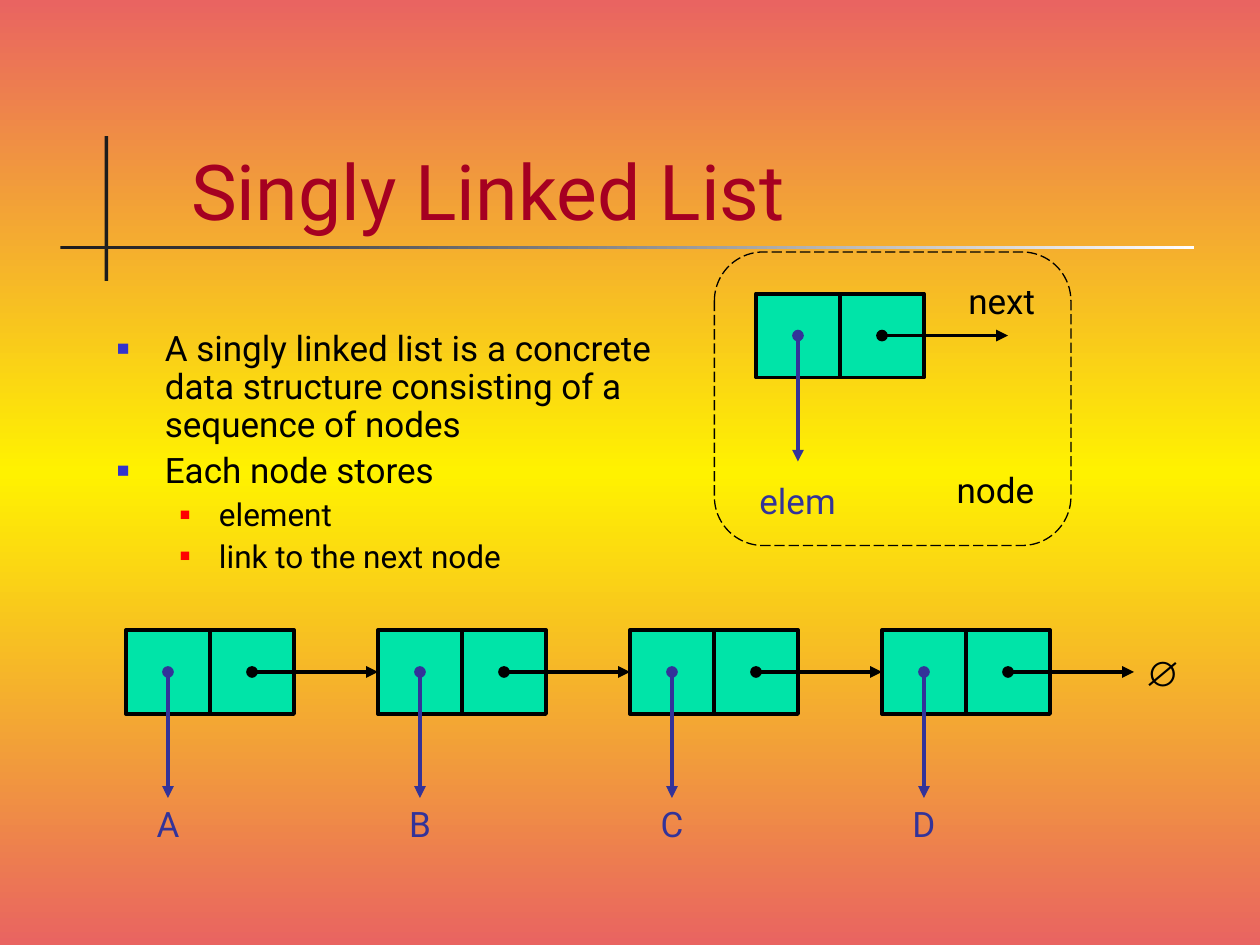
"""Build the singly linked list slide."""
from copy import deepcopy

from lxml.etree import SubElement
from pptx import Presentation
from pptx.dml.color import RGBColor
from pptx.enum.dml import MSO_LINE
from pptx.enum.shapes import MSO_CONNECTOR, MSO_SHAPE
from pptx.enum.text import MSO_ANCHOR, PP_ALIGN
from pptx.oxml.ns import qn
from pptx.util import Inches, Pt

BLACK = RGBColor(0, 0, 0)
WHITE = RGBColor(255, 255, 255)
CHARCOAL = RGBColor(0x1C, 0x1C, 0x1C)
CORAL = RGBColor(0xE9, 0x64, 0x61)
YELLOW = RGBColor(0xFF, 0xF2, 0x00)
CRIMSON = RGBColor(0xA5, 0x00, 0x21)
GREEN = RGBColor(0x00, 0xE4, 0xA8)
INDIGO = RGBColor(0x33, 0x33, 0x99)
BLUE = RGBColor(0x33, 0x33, 0xCC)
RED = RGBColor(0xFF, 0, 0)

TITLE = "Singly Linked List"
BULLETS = [
    (0, "A singly linked list is a concrete data structure consisting of a sequence of nodes"),
    (0, "Each node stores"),
    (1, "element"),
    (1, "link to the next node"),
]
LEVELS = [
    dict(size=20, before=5, margin=0.38, hang=0.38, color=BLUE, percent=60),
    dict(size=18, before=4.5, margin=0.81, hang=0.31, color=RED, percent=55),
]
LEGEND = [
    ("next", 7.95, 2.17, BLACK),
    ("elem", 6.33, 3.76, INDIGO),
    ("node", 7.9, 3.67, BLACK),
]
ELEMENTS = "ABCD"
CELL = 2 / 3
NODE_PITCH = 2
LIST_LEFT, LIST_TOP = 1, 5


def set_gradient(fill, root, colors, angle):
    fill.gradient()
    fill.gradient_angle = angle
    stop_list = root.find(".//" + qn("a:gsLst"))
    while len(stop_list) < len(colors):
        stop_list.append(deepcopy(stop_list[-1]))
    for index, (stop, color) in enumerate(zip(fill.gradient_stops, colors)):
        stop.color.rgb = color
        stop.position = index / (len(colors) - 1)


def add_shape(page, kind, left, top, width, height, fill=None, line_width=None):
    shape = page.shapes.add_shape(
        kind, Inches(left), Inches(top), Inches(width), Inches(height))
    shape.shadow.inherit = False
    if fill is None:
        shape.fill.background()
    else:
        shape.fill.solid()
        shape.fill.fore_color.rgb = fill
    if line_width is None:
        shape.line.fill.background()
    else:
        shape.line.color.rgb = BLACK
        shape.line.width = Pt(line_width)
    return shape


def add_arrow(page, left, top, across, down, color):
    arrow = page.shapes.add_connector(
        MSO_CONNECTOR.STRAIGHT, Inches(left), Inches(top),
        Inches(left + across), Inches(top + down))
    arrow.line.color.rgb = color
    arrow.line.width = Pt(2.25)
    line = arrow.line._get_or_add_ln()
    SubElement(line, qn("a:headEnd"), type="oval")
    SubElement(line, qn("a:tailEnd"), type="triangle")
    SubElement(arrow._element.spPr, qn("a:effectLst"))


def add_node(page, left, top):
    for column in range(2):
        add_shape(page, MSO_SHAPE.RECTANGLE, left + column * CELL, top,
                  CELL, CELL, GREEN, 2.25)
    middle = top + CELL / 2
    add_arrow(page, left + CELL / 2, middle, 0, 1, INDIGO)
    add_arrow(page, left + CELL * 1.5, middle, 1, 0, BLACK)


def set_font(paragraph, size, color, name="Roboto", bold=False):
    paragraph.font.size = Pt(size)
    paragraph.font.name = name
    paragraph.font.bold = bold
    paragraph.font.color.rgb = color


def add_box(page, left, top, width, height, wrap=True):
    box = page.shapes.add_textbox(
        Inches(left), Inches(top), Inches(width), Inches(height))
    box.text_frame.word_wrap = wrap
    return box.text_frame


def add_label(page, text, center, top, color, **font):
    width = 0.85 if len(text) > 1 else 0.4
    frame = add_box(page, center - width / 2, top, width, 0.44, wrap=False)
    para = frame.paragraphs[0]
    para.text = text
    para.alignment = PP_ALIGN.CENTER
    set_font(para, 20, color, **font)


def add_bullet(para, level):
    properties = para._p.get_or_add_pPr()
    properties.set("marL", str(Inches(level["margin"])))
    properties.set("indent", str(-Inches(level["hang"])))
    color = SubElement(properties, qn("a:buClr"))
    SubElement(color, qn("a:srgbClr"), val=str(level["color"]))
    SubElement(properties, qn("a:buSzPct"), val=str(level["percent"] * 1000))
    SubElement(properties, qn("a:buFont"), typeface="Arial")
    SubElement(properties, qn("a:buChar"), char="■")


def add_title(page):
    add_shape(page, MSO_SHAPE.RECTANGLE, 0.83, 1.08, 0.03, 1.15, CHARCOAL)
    rule = add_shape(page, MSO_SHAPE.RECTANGLE, 0.48, 1.95, 9, 0.03, CHARCOAL)
    set_gradient(rule.fill, rule._element, [CHARCOAL, WHITE], 0)
    frame = add_box(page, 1.42, 0.67, 8.36, 1.25)
    frame.vertical_anchor = MSO_ANCHOR.BOTTOM
    frame.text = TITLE
    set_font(frame.paragraphs[0], 44, CRIMSON)


def add_body(page):
    frame = add_box(page, 0.83, 2.58, 4.5, 2.75)
    for index, (depth, text) in enumerate(BULLETS):
        para = frame.add_paragraph() if index else frame.paragraphs[0]
        level = LEVELS[depth]
        para.text = text
        para.level = depth
        add_bullet(para, level)
        para.line_spacing = 0.9
        para.space_before = Pt(level["before"] if index else 0)
        set_font(para, level["size"], BLACK)


def add_legend(page):
    frame = add_shape(page, MSO_SHAPE.ROUNDED_RECTANGLE, 5.67, 2, 2.83, 2.33,
                      line_width=0.75)
    frame.line.dash_style = MSO_LINE.LONG_DASH
    add_node(page, 6, 2.33)
    for text, center, top, color in LEGEND:
        add_label(page, text, center, top, color)


def add_list(page):
    for index, element in enumerate(ELEMENTS):
        left = LIST_LEFT + index * NODE_PITCH
        add_node(page, left, LIST_TOP)
        add_label(page, element, left + CELL / 2, 6.32, INDIGO)
    add_label(page, "∅", 9.19, 5.12, BLACK, name="Arial", bold=True)


def main():
    deck = Presentation()
    deck.slide_width, deck.slide_height = Inches(10), Inches(7.5)
    page = deck.slides.add_slide(deck.slide_layouts[6])
    set_gradient(page.background.fill, page._element, [CORAL, YELLOW, CORAL], 270)
    add_title(page)
    add_body(page)
    add_legend(page)
    add_list(page)
    deck.save("out.pptx")


if __name__ == "__main__":
    main()
